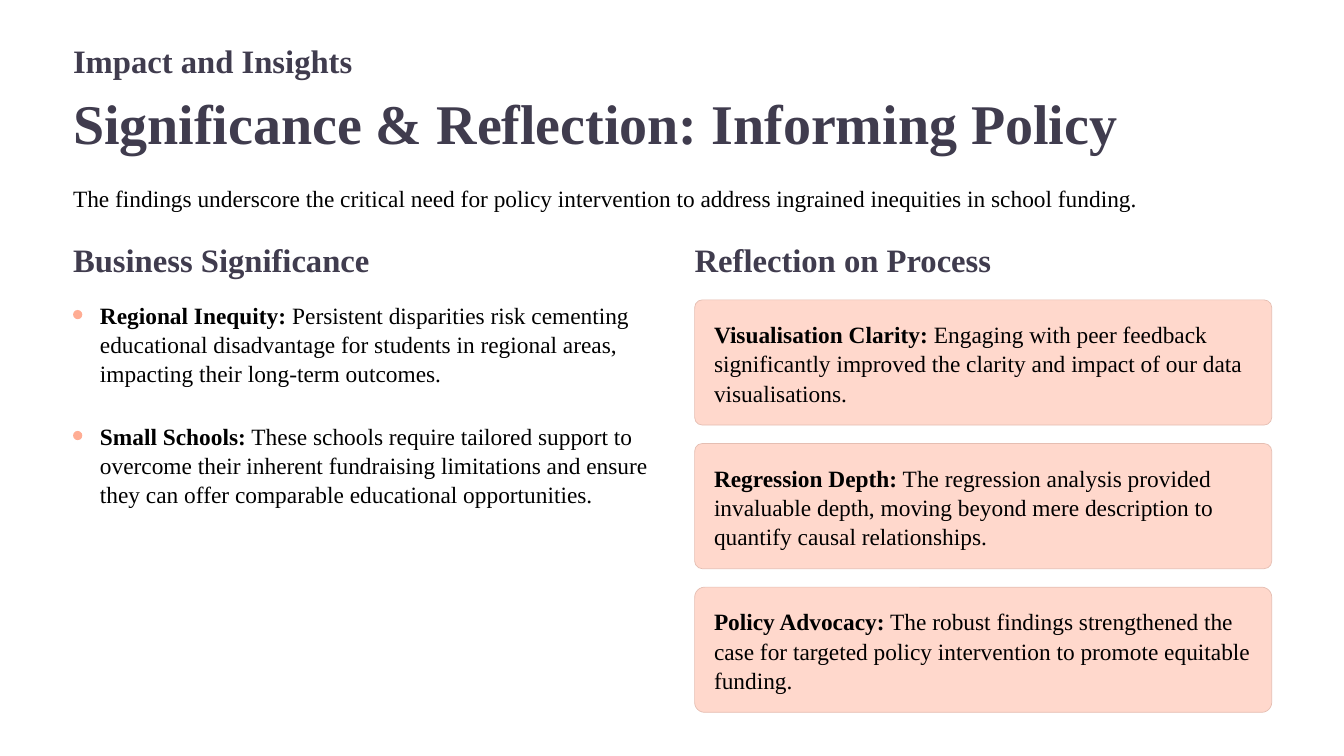
from dataclasses import dataclass

from pptx import Presentation
from pptx.dml.color import RGBColor
from pptx.enum.shapes import MSO_SHAPE as Shape
from pptx.util import Emu, Pt


@dataclass(frozen=True)
class Theme:
    font: str = "Times New Roman"
    heading: str = "403C4E"
    body: str = "000000"
    bullet: str = "FFAD94"
    card: str = "FFD8CC"
    border: str = "E5BEB2"
    title_pt: float = 48
    heading_pt: float = 28
    body_pt: float = 20
    title_line: float = 48.5
    heading_line: float = 24
    body_line: float = 25
    border_pt: float = 0.6


@dataclass(frozen=True)
class Box:
    """Position and size in grid columns and rows."""
    col: float
    row: float
    cols: float
    rows: float


@dataclass(frozen=True)
class Line:
    text: str
    box: Box
    size: float
    spacing: float
    color: str
    bold: bool = True


@dataclass(frozen=True)
class Point:
    label: str
    text: str
    corner: float = 0.061
    rows: float = 1.04


T = Theme()

# Grid: 16 columns by 9 rows
COLS, ROWS = 16, 9
CELL = Emu(914400)
LEFT, RIGHT = 0.87, 8.27
HEADING_ROW, LIST_ROW = 2.99, 3.57
HEADING_COLS, HEADING_ROWS = 3.8, 0.34
BULLET_STEP, CARD_STEP = 1.44, 1.71
DOT, DOT_DROP, INDENT = 0.11, 0.12, 0.32
CARD_COLS, CARD_ROWS, PAD = 6.87, 1.49, 0.23
BULLET_COLS, CARD_TEXT_COLS = 6.54, 6.42


def heading(text: str, col: float, row: float) -> Line:
    return Line(text, Box(col, row, HEADING_COLS, HEADING_ROWS),
                T.heading_pt, T.heading_line, T.heading)


LINES = [
    heading("Impact and Insights", LEFT, 0.62),
    Line("Significance & Reflection: Informing Policy", Box(LEFT, 1.18, 12.9, 0.68),
         T.title_pt, T.title_line, T.heading),
    Line("The findings underscore the critical need for policy intervention to "
         "address ingrained inequities in school funding.",
         Box(LEFT, 2.18, 14.26, 0.35), T.body_pt, T.body_line, T.body, bold=False),
    heading("Business Significance", LEFT, HEADING_ROW),
    heading("Reflection on Process", RIGHT, HEADING_ROW),
]
BULLETS = [
    Point("Regional Inequity:",
          " Persistent disparities risk cementing educational disadvantage for "
          "students in regional areas, impacting their long-term outcomes."),
    Point("Small Schools:",
          " These schools require tailored support to overcome their inherent "
          "fundraising limitations and ensure they can offer comparable "
          "educational opportunities."),
]
CARDS = [
    Point("Visualisation Clarity:",
          " Engaging with peer feedback significantly improved the clarity and "
          "impact of our data visualisations."),
    Point("Regression Depth:",
          " The regression analysis provided invaluable depth, moving beyond mere "
          "description to quantify causal relationships."),
    Point("Policy Advocacy:",
          " The robust findings strengthened the case for targeted policy "
          "intervention to promote equitable funding.", corner=0.08),
]


def place(box: Box) -> tuple[Emu, ...]:
    return tuple(Emu(round(n * CELL)) for n in (box.col, box.row, box.cols, box.rows))


def add_text(s, box: Box, runs: list[tuple[str, bool]], size: float,
             spacing: float, color: str) -> None:
    tf = s.shapes.add_textbox(*place(box)).text_frame
    tf.margin_left = tf.margin_right = tf.margin_top = tf.margin_bottom = 0
    tf.word_wrap = True
    p = tf.paragraphs[0]
    p.line_spacing = Pt(spacing)
    for text, bold in runs:
        r = p.add_run()
        r.text = text
        r.font.name = T.font
        r.font.size = Pt(size)
        r.font.bold = bold
        r.font.color.rgb = RGBColor.from_string(color)


def add_line(s, line: Line) -> None:
    add_text(s, line.box, [(line.text, line.bold)], line.size, line.spacing, line.color)


def add_point(s, point: Point, col: float, row: float, cols: float) -> None:
    add_text(s, Box(col, row, cols, point.rows),
             [(point.label, True), (point.text, False)],
             T.body_pt, T.body_line, T.body)


def add_rounded(s, box: Box, corner: float, fill: str, border: str = "") -> None:
    sp = s.shapes.add_shape(Shape.ROUNDED_RECTANGLE, *place(box))
    sp.adjustments[0] = corner
    sp.shadow.inherit = False
    sp.fill.solid()
    sp.fill.fore_color.rgb = RGBColor.from_string(fill)
    if border:
        sp.line.color.rgb = RGBColor.from_string(border)
        sp.line.width = Pt(T.border_pt)
    else:
        sp.line.fill.background()


def main() -> None:
    prs = Presentation()
    prs.slide_width, prs.slide_height = COLS * CELL, ROWS * CELL
    s = prs.slides.add_slide(prs.slide_layouts[6])

    # Titles, introduction and column headings
    for line in LINES:
        add_line(s, line)

    # Left column: points with round markers
    for i, point in enumerate(BULLETS):
        row = LIST_ROW + i * BULLET_STEP
        add_rounded(s, Box(LEFT, row + DOT_DROP, DOT, DOT), 0.5, T.bullet)
        add_point(s, point, LEFT + INDENT, row, BULLET_COLS)

    # Right column: cards
    for i, point in enumerate(CARDS):
        row = LIST_ROW + i * CARD_STEP
        add_rounded(s, Box(RIGHT, row, CARD_COLS, CARD_ROWS), point.corner,
                    T.card, T.border)
        add_point(s, point, RIGHT + PAD, row + PAD, CARD_TEXT_COLS)

    prs.save("out.pptx")


if __name__ == "__main__":
    main()
